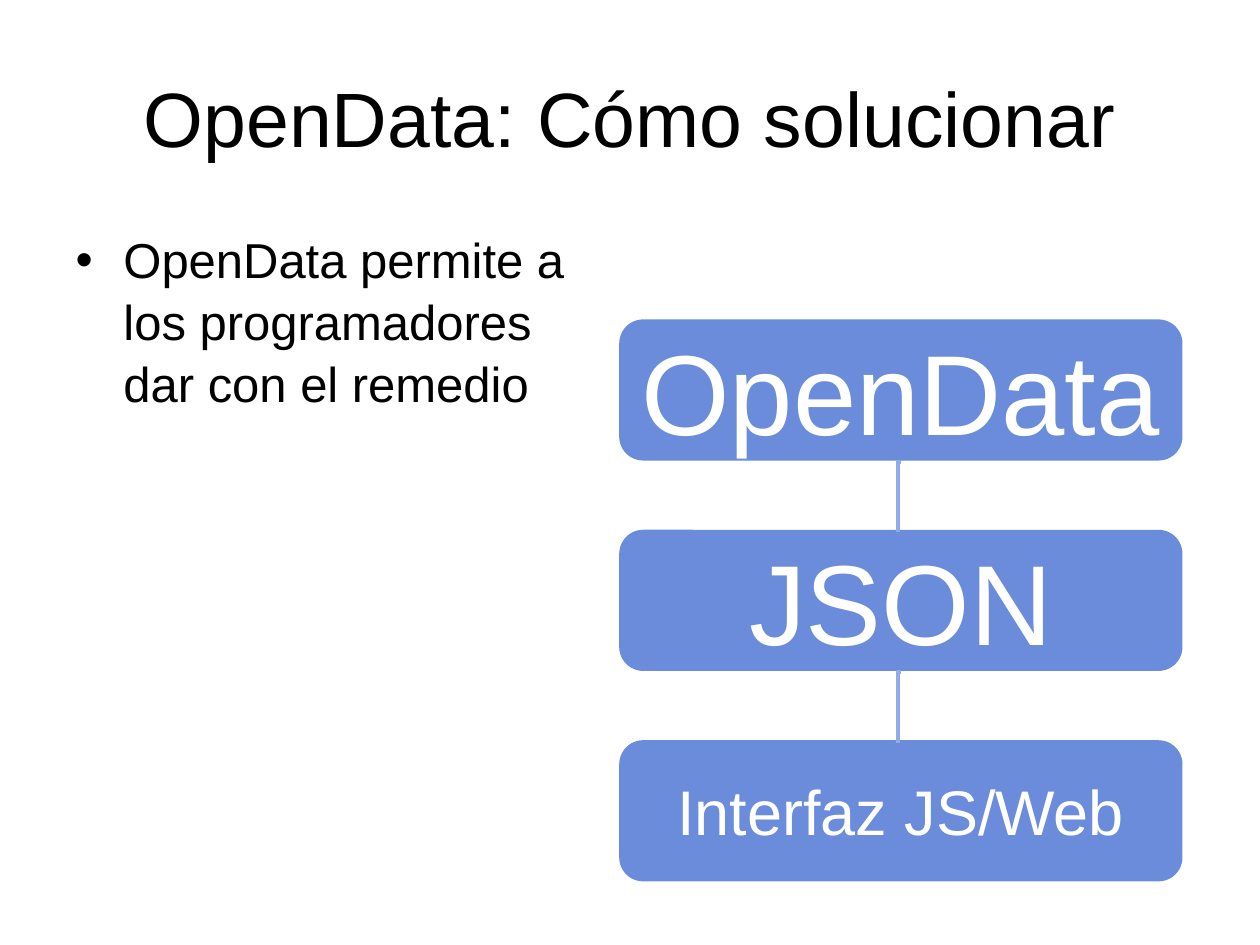
"""Build a slide on OpenData with a title, a bullet and a three-step chain."""
import pptx
import pptx.util
import pptx.dml.color
import pptx.enum.shapes
import pptx.enum.text
import pptx.oxml.ns
import lxml.etree

Inches = pptx.util.Inches
Pt = pptx.util.Pt
Align = pptx.enum.text.PP_ALIGN
Anchor = pptx.enum.text.MSO_ANCHOR


def color(code):
    """Turn a hex string into a colour."""
    return pptx.dml.color.RGBColor.from_string(code)


def write(shape, text, size, code, align, anchor):
    """Put one run of text in a shape and return its paragraph."""
    frame = shape.text_frame
    frame.word_wrap = True
    frame.auto_size = pptx.enum.text.MSO_AUTO_SIZE.NONE
    frame.vertical_anchor = anchor
    para = frame.paragraphs[0]
    para.alignment = align
    run = para.add_run()
    run.text = text
    run.font.size = Pt(size)
    run.font.name = "Arial"
    run.font.color.rgb = color(code)
    return para


deck = pptx.Presentation()
deck.slide_width, deck.slide_height = Inches(10), Inches(7.5)
slide = deck.slides.add_slide(deck.slide_layouts[1])

title = slide.shapes.title
title.left, title.top = Inches(0.5), Inches(0.3)
title.width, title.height = Inches(9), Inches(1.25)
write(title, "OpenData: Cómo solucionar", 44, "000000", Align.CENTER, Anchor.MIDDLE)

body = slide.placeholders[1]
body.left, body.top = Inches(0.5), Inches(1.75)
body.width, body.height = Inches(4.42), Inches(4.95)
para = write(body, "OpenData permite a los programadores dar con el remedio",
             28, "000000", Align.LEFT, Anchor.TOP)
para.space_before = Pt(7)
para.line_spacing = 1.05
props = para._p.get_or_add_pPr()
props.set("marL", str(Inches(0.38)))
props.set("indent", str(Inches(-0.38)))
bullet = lxml.etree.SubElement(props, pptx.oxml.ns.qn("a:buChar"))
bullet.set("char", "•")

steps = [("OpenData", 65), ("JSON", 65), ("Interfaz JS/Web", 36)]
first, pitch = 2.54, 1.67
for place, (text, size) in enumerate(steps):
    top = first + place * pitch
    box = slide.shapes.add_shape(pptx.enum.shapes.MSO_SHAPE.ROUNDED_RECTANGLE,
                                 Inches(4.92), Inches(top), Inches(4.46), Inches(1.11))
    box.shadow.inherit = False
    box.fill.solid()
    box.fill.fore_color.rgb = color("6B8BDB")
    box.line.color.rgb = color("6B8BDB")
    box.line.width = Pt(0.75)
    write(box, text, size, "FFFFFF", Align.CENTER, Anchor.MIDDLE)
    if place == 0:
        continue
    mid = top - 0.28
    link = slide.shapes.add_connector(pptx.enum.shapes.MSO_CONNECTOR.ELBOW,
                                      Inches(7.42), Inches(mid + 0.03),
                                      Inches(6.86), Inches(mid))
    link.line.color.rgb = color("8FACE8")
    link.line.width = Pt(2.25)
    shape = link._element.spPr
    shape.find(pptx.oxml.ns.qn("a:xfrm")).set("rot", str(90 * 60000))
    shape.find(pptx.oxml.ns.qn("a:prstGeom")).set("prst", "bentConnector2")
    lxml.etree.SubElement(shape, pptx.oxml.ns.qn("a:effectLst"))

deck.save("out.pptx")
